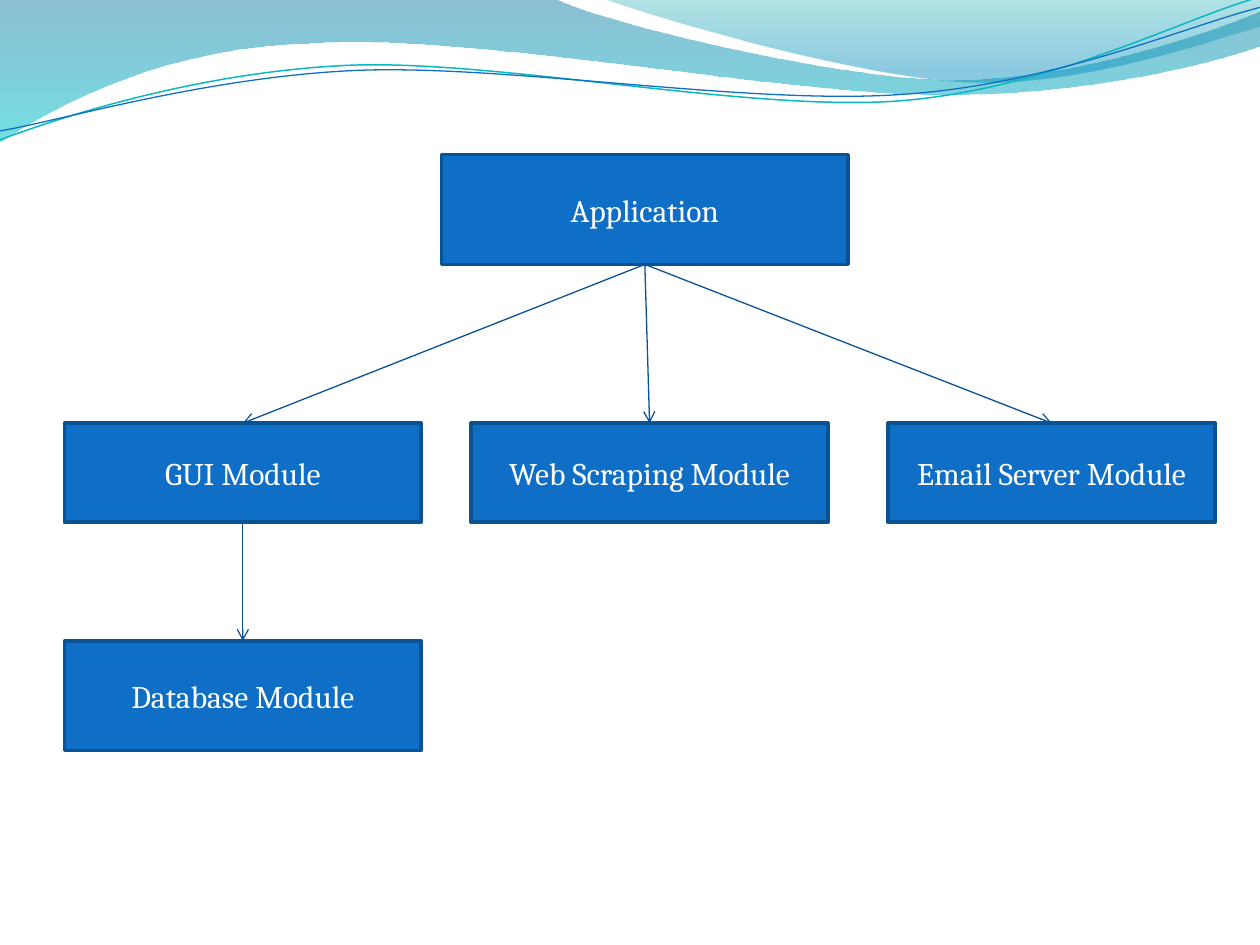
import dataclasses
import typing

import lxml.etree
import pptx
import pptx.dml.color
import pptx.enum.shapes
import pptx.enum.text
import pptx.oxml.ns
import pptx.util

Cm = pptx.util.Cm
Pt = pptx.util.Pt
RGBColor = pptx.dml.color.RGBColor
qn = pptx.oxml.ns.qn
Point = tuple[float, float]

BOX_BLUE = RGBColor(0x0F, 0x6F, 0xC6)
BOX_EDGE = RGBColor(0x0B, 0x52, 0x92)
ARROW_BLUE = RGBColor(0x09, 0x52, 0x95)
WHITE = RGBColor(0xFF, 0xFF, 0xFF)
DEEP_BLUE = RGBColor(0x00, 0x74, 0xA1)
CYAN = RGBColor(0x00, 0xC6, 0xCF)
TEAL = RGBColor(0x00, 0xA1, 0xA9)
SKY_BLUE = RGBColor(0x00, 0x8B, 0xBF)
LINE_TEAL = RGBColor(0x0A, 0xB8, 0xBF)

FONT = "Cambria"
LINE_TILT = 357.3


class Stop(typing.NamedTuple):
    position: float
    color: RGBColor
    opacity: int


@dataclasses.dataclass
class Wave:
    """Segments hold one point for a straight line, three for a Bezier curve."""
    start: Point
    segments: list[tuple[Point, ...]]
    stops: tuple[Stop, ...] = ()
    line_color: RGBColor | None = None
    line_width: float = 0


@dataclasses.dataclass
class Module:
    label: str
    left: float
    top: float
    width: float
    height: float
    parent: str | None = None


WAVES = [
    Wave((0, 0), [
        ((11.18, -0.03),),
        ((12.09, 0.43), (16.87, 1.6), (19.25, 1.6)),
        ((21.67, 1.6), (24.33, 0.66), (25.4, 0.23)),
        ((25.43, 0.91),),
        ((24.97, 1.12), (22.1, 1.93), (18.95, 1.91)),
        ((15.8, 1.91), (9.7, 0.71), (6.53, 0.86)),
        ((3.28, 0.91), (1.17, 2.11), (-0.03, 2.87)),
    ], stops=(Stop(0, DEEP_BLUE, 45), Stop(1, CYAN, 55))),
    Wave((12.17, -0.03), [
        ((12.93, 0.28), (17.32, 1.57), (19.53, 1.65)),
        ((21.74, 1.75), (24.41, 0.81), (25.4, 0.53)),
        ((25.4, 0),),
    ], stops=(Stop(0, TEAL, 30), Stop(0.8, SKY_BLUE, 45))),
    Wave((-0.05, 2.22), [
        ((1.19, 1.82), (4.02, 1.04), (7.05, 1.05)),
        ((10.05, 1.07), (15.02, 2.37), (18.08, 2.29)),
        ((21.13, 2.2), (23.86, 0.91), (25.41, 0.55)),
    ], line_color=LINE_TEAL, line_width=0.85),
    Wave((-0.04, 2.04), [
        ((1.16, 1.9), (4.17, 1.15), (7.2, 1.16)),
        ((10.25, 1.18), (15.13, 2.25), (18.19, 2.16)),
        ((21.21, 2.1), (23.93, 1.06), (25.45, 0.75)),
    ], line_color=BOX_BLUE, line_width=0.75),
]

ROW_TOP, ROW_HEIGHT = 8.53, 2.0
MODULES = [
    Module("Application", 8.9, 3.12, 8.2, 2.21),
    Module("GUI Module", 1.3, ROW_TOP, 7.19, ROW_HEIGHT, "Application"),
    Module("Web Scraping Module", 9.5, ROW_TOP, 7.19, ROW_HEIGHT, "Application"),
    Module("Email Server Module", 17.9, ROW_TOP, 6.6, ROW_HEIGHT, "Application"),
    Module("Database Module", 1.3, 12.92, 7.19, 2.21, "GUI Module"),
]


def bend(shape, segments: list[tuple[Point, ...]]) -> None:
    """Join the three straight steps of each curved segment into one Bezier."""
    steps = iter(list(shape.element.spPr.iter(qn("a:lnTo"))))
    for segment in segments:
        parts = [next(steps) for _ in segment]
        if len(parts) == 1:
            continue
        curve = lxml.etree.Element(qn("a:cubicBezTo"))
        parts[0].addprevious(curve)
        for part in parts:
            curve.append(part[0])
            part.getparent().remove(part)


def draw_wave(page, wave: Wave) -> None:
    points = [(Cm(x), Cm(y)) for segment in wave.segments for x, y in segment]
    builder = page.shapes.build_freeform(Cm(wave.start[0]), Cm(wave.start[1]), scale=1.0)
    builder.add_line_segments(points, close=bool(wave.stops))
    shape = builder.convert_to_shape()
    bend(shape, wave.segments)
    shape.shadow.inherit = False
    if not wave.stops:
        shape.rotation = LINE_TILT
        shape.fill.background()
        shape.line.color.rgb = wave.line_color
        shape.line.width = Pt(wave.line_width)
        return
    shape.line.fill.background()
    shape.fill.gradient()
    shape.fill.gradient_angle = 270
    for target, stop in zip(shape.fill.gradient_stops, wave.stops):
        target.position = stop.position
        target.color.rgb = stop.color
    colors = shape.element.spPr.find(qn("a:gradFill")).iter(qn("a:srgbClr"))
    for color, stop in zip(list(colors), wave.stops):
        lxml.etree.SubElement(color, qn("a:alpha"), val=str(stop.opacity * 1000))


def draw_module(page, module: Module):
    box = page.shapes.add_shape(
        pptx.enum.shapes.MSO_SHAPE.RECTANGLE,
        Cm(module.left), Cm(module.top), Cm(module.width), Cm(module.height))
    box.shadow.inherit = False
    box.fill.solid()
    box.fill.fore_color.rgb = BOX_BLUE
    box.line.color.rgb = BOX_EDGE
    box.line.width = Pt(2)
    box.text_frame.vertical_anchor = pptx.enum.text.MSO_ANCHOR.MIDDLE
    para = box.text_frame.paragraphs[0]
    para.alignment = pptx.enum.text.PP_ALIGN.CENTER
    span = para.add_run()
    span.text = module.label
    span.font.name = FONT
    span.font.size = Pt(18)
    span.font.color.rgb = WHITE
    return box


def draw_arrow(page, parent, child) -> None:
    arrow = page.shapes.add_connector(pptx.enum.shapes.MSO_CONNECTOR.STRAIGHT, 0, 0, 0, 0)
    arrow.begin_connect(parent, 2)
    arrow.end_connect(child, 0)
    arrow.line.color.rgb = ARROW_BLUE
    arrow.line.width = Pt(0.75)
    properties = arrow.element.spPr
    lxml.etree.SubElement(properties.find(qn("a:ln")), qn("a:tailEnd"), type="arrow")
    lxml.etree.SubElement(properties, qn("a:effectLst"))


deck = pptx.Presentation()
deck.slide_width, deck.slide_height = Cm(25.4), Cm(19.05)
page = deck.slides.add_slide(deck.slide_layouts[6])

# Wave decoration along the top
for wave in WAVES:
    draw_wave(page, wave)

# Module boxes
boxes = {module.label: draw_module(page, module) for module in MODULES}

# Arrows from each module to its parts
for module in MODULES:
    if module.parent:
        draw_arrow(page, boxes[module.parent], boxes[module.label])

deck.save("out.pptx")
